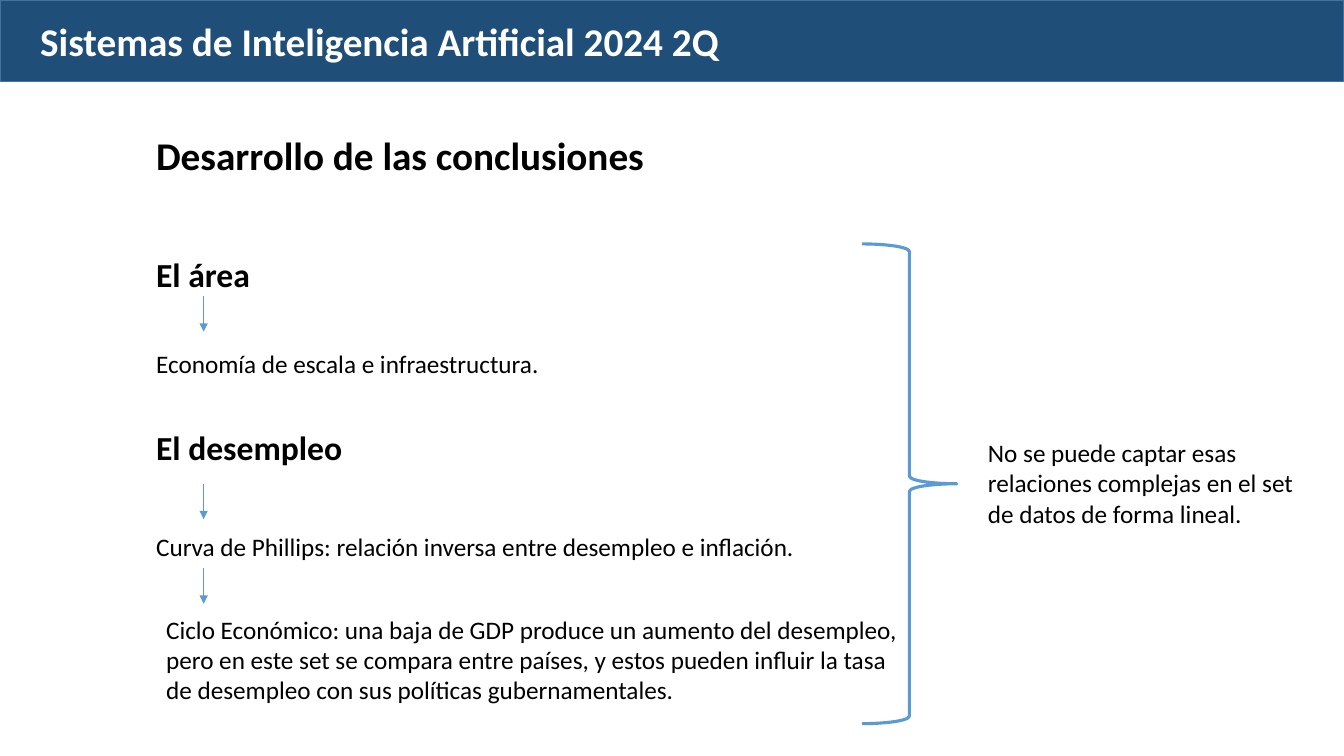
from lxml import etree
from pptx import Presentation
from pptx.dml.color import RGBColor
from pptx.enum.shapes import MSO_CONNECTOR, MSO_SHAPE
from pptx.enum.text import MSO_ANCHOR
from pptx.oxml.ns import qn
from pptx.util import Pt

EMU_PER_PX = 9144  # 100 px to the inch
SLIDE_WIDTH, SLIDE_HEIGHT = 1333, 750

NAVY = RGBColor(0x1F, 0x4E, 0x79)
NAVY_EDGE = RGBColor(0x43, 0x73, 0x9E)
BLUE = RGBColor(0x5B, 0x9B, 0xD5)
WHITE = RGBColor(0xFF, 0xFF, 0xFF)
BLACK = RGBColor(0, 0, 0)

FONT = "Calibri"
TITLE_SIZE, HEADING_SIZE, BODY_SIZE = 28, 24, 18


def px(*lengths):
    return [round(length * EMU_PER_PX) for length in lengths]


def add_text(slide, box, text, size, bold=False, color=BLACK, wrap=True):
    text_box = slide.shapes.add_textbox(*px(*box))
    frame = text_box.text_frame
    frame.word_wrap = wrap
    paragraph = frame.paragraphs[0]
    paragraph.text = text
    font = paragraph.font
    font.name, font.size, font.bold = FONT, Pt(size), bold
    font.color.rgb = color
    return frame


def add_down_arrow(slide, x, top, length=35):
    arrow = slide.shapes.add_connector(
        MSO_CONNECTOR.STRAIGHT, *px(x, top, x, top + length))
    arrow.line.color.rgb = BLUE
    arrow.line.width = Pt(0.5)
    etree.SubElement(arrow.line._get_or_add_ln(), qn("a:tailEnd"), type="triangle")
    etree.SubElement(arrow._element.spPr, qn("a:effectLst"))


def add_header(slide, left, top, width, height):
    band = slide.shapes.add_shape(
        MSO_SHAPE.RECTANGLE, *px(left, top, width, height))
    band.shadow.inherit = False
    band.fill.solid()
    band.fill.fore_color.rgb = NAVY
    band.line.color.rgb = NAVY_EDGE
    band.line.width = Pt(1)
    add_text(slide, (left + 30, top + 12, 712, 57),
             "Sistemas de Inteligencia Artificial 2024 2Q",
             TITLE_SIZE, bold=True, color=WHITE, wrap=False)


def add_title(slide, left, top, width, height):
    frame = add_text(slide, (left, top, width, height),
                     "Desarrollo de las conclusiones", TITLE_SIZE, bold=True)
    frame.vertical_anchor = MSO_ANCHOR.MIDDLE
    frame.paragraphs[0].line_spacing = 0.9


def add_arguments(slide, left, top):
    """Place both headings with the chain of reasons below each."""
    for offset, heading in ((0, "El área"), (172, "El desempleo")):
        add_text(slide, (left, top + offset, 540, 50), heading,
                 HEADING_SIZE, bold=True)
    for offset, width, reason in (
        (94, 405, "Economía de escala e infraestructura."),
        (275, 655, "Curva de Phillips: relación inversa entre desempleo e inflación."),
    ):
        add_text(slide, (left, top + offset, width, 40), reason,
                 BODY_SIZE, wrap=False)
    add_text(slide, (left + 10, top + 357, 747, 101),
             "Ciclo Económico: una baja de GDP produce un aumento del desempleo, "
             "pero en este set se compara entre países, y estos pueden influir la "
             "tasa de desempleo con sus políticas gubernamentales.", BODY_SIZE)
    for offset in (47, 233, 317):
        add_down_arrow(slide, left + 57, top + offset)


def add_conclusion(slide, left, top, width, height):
    brace_width, gap = 94, 21
    brace = slide.shapes.add_shape(
        MSO_SHAPE.RIGHT_BRACE, *px(left, top, brace_width, height))
    brace.shadow.inherit = False
    brace.fill.background()
    brace.line.color.rgb = BLUE
    brace.line.width = Pt(2.25)
    brace.adjustments[0] = 0.08
    brace.adjustments[1] = 0.5
    text_left = brace_width + gap
    add_text(slide, (left + text_left, top + 187, width - text_left, 101),
             "No se puede captar esas relaciones complejas en el set de datos "
             "de forma lineal.", BODY_SIZE)


def main():
    presentation = Presentation()
    presentation.slide_width, presentation.slide_height = px(
        SLIDE_WIDTH, SLIDE_HEIGHT)
    slide = presentation.slides.add_slide(presentation.slide_layouts[6])
    add_header(slide, 0, 0, SLIDE_WIDTH, 81)
    add_title(slide, 145, 106, 560, 101)
    add_arguments(slide, 145, 247)
    add_conclusion(slide, 855, 242, 440, 476)
    presentation.save("out.pptx")


if __name__ == "__main__":
    main()
